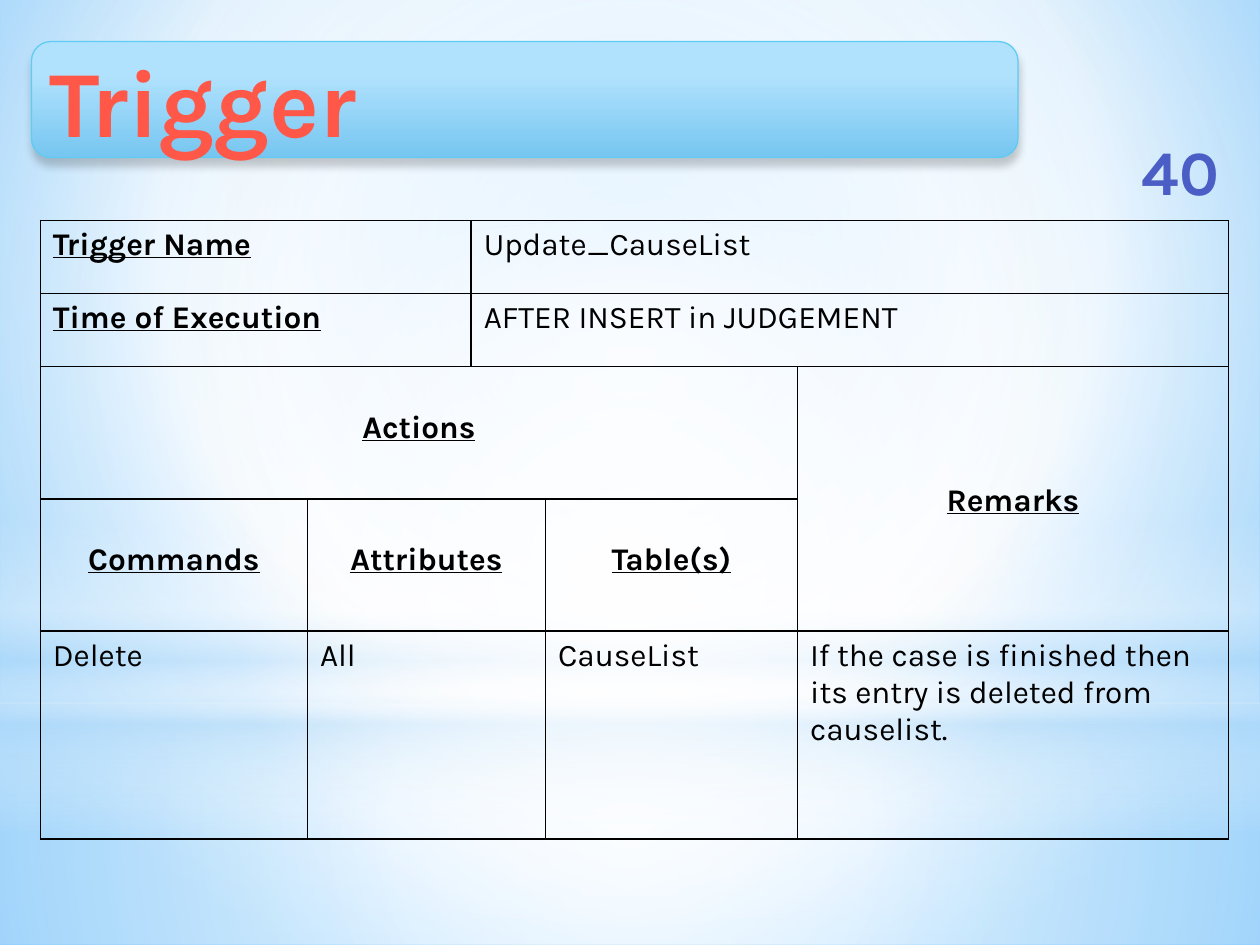
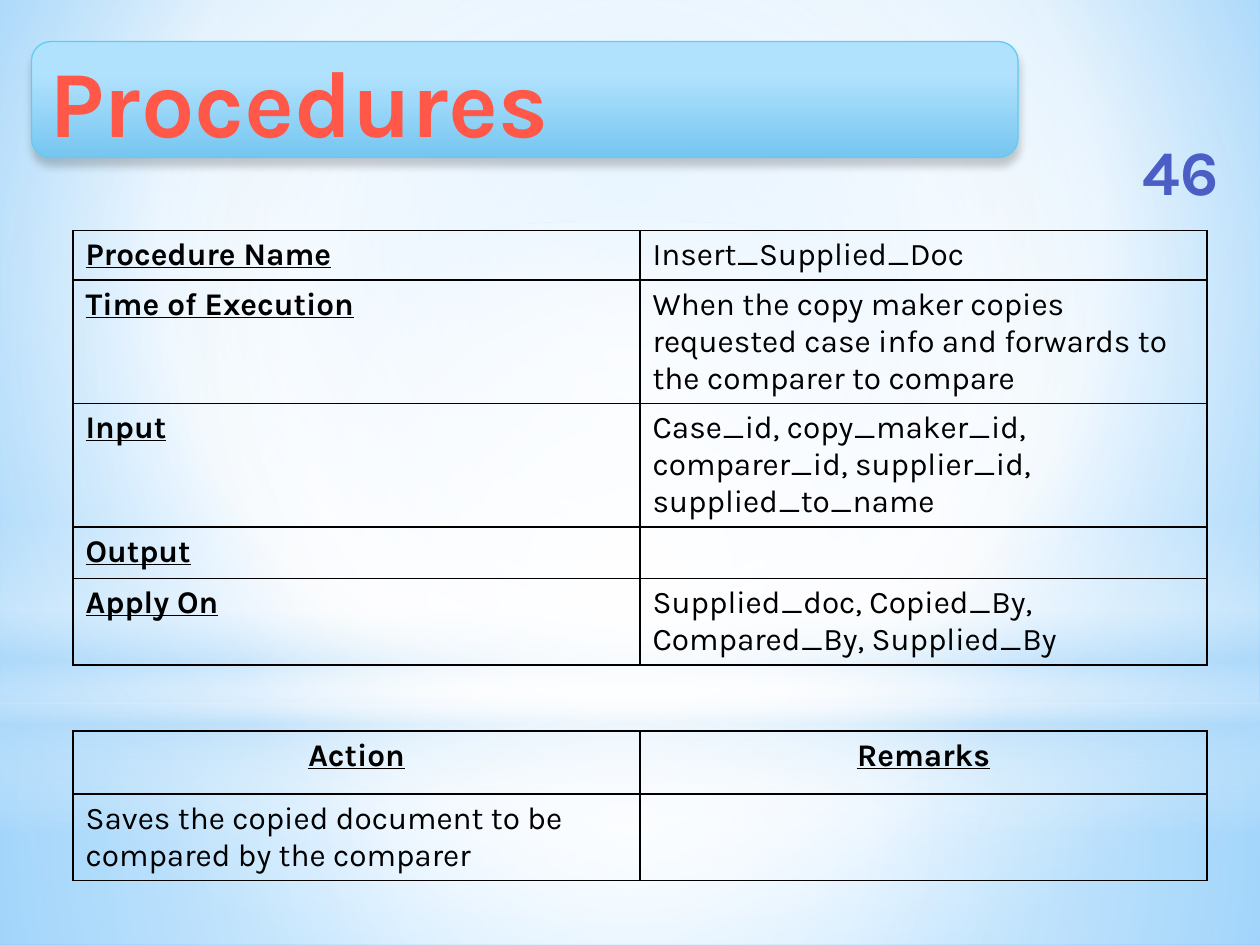
from pptx import Presentation
from pptx.dml.color import RGBColor
from pptx.enum.shapes import MSO_SHAPE
from pptx.enum.text import MSO_ANCHOR, MSO_AUTO_SIZE, PP_ALIGN
from pptx.oxml import parse_xml
from pptx.oxml.ns import nsdecls, qn
from pptx.util import Inches, Pt

RECTANGLE, ELLIPSE = MSO_SHAPE.RECTANGLE, MSO_SHAPE.OVAL
ROUNDED = MSO_SHAPE.ROUNDED_RECTANGLE
LEFT, CENTER = PP_ALIGN.LEFT, PP_ALIGN.CENTER
MIDDLE, NO_AUTOFIT = MSO_ANCHOR.MIDDLE, MSO_AUTO_SIZE.NONE

FONT = "Karla"
BLACK, WHITE, SKY = "000000", "FFFFFF", "B4DCFA"
BANNER_LINE = "5ECCF3"
LINE_HEIGHT = 0.29  # one line of table text, in inches

# Gradient stops: position, colour and, where needed, opacity in percent
BACKGROUND = [(0, "9ED5FF"), (60, WHITE), (100, "5BB9FF")]
LOWER_GLOW = [(0, WHITE, 91), (37, WHITE, 76), (100, SKY, 79)]
UPPER_GLOW = [(0, WHITE, 89), (48, WHITE, 62), (100, SKY, 79)]
HORIZON = [(0, WHITE, 0), (29, WHITE, 30), (45, SKY, 40),
           (55, WHITE, 26), (65, SKY, 60), (100, WHITE, 0)]
SPOTLIGHT = [(0, WHITE), (56, WHITE, 0)]
BANNER = [(28, "B1E2FD"), (100, "76C6F1")]
TITLE_TEXT = [(0, "FF6155"), (25, "FF5748"), (50, "EF3718"),
              (75, "FF5748"), (100, "FF6155")]
NUMBER_TEXT = [(0, "717FD2"), (49, "4A5EC6"), (50, "324CB5"),
               (92, "31479D"), (100, "30469A")]
FROM_CENTER = (50, 50, 50, 50)


def color(hex_value):
    return RGBColor.from_string(hex_value)


def paint_gradient(fill, parent, stops, focus=None):
    """Fill with a vertical gradient, or a circular one around the focus."""
    stop_xml = "".join(
        f'<a:gs pos="{position * 1000}"><a:srgbClr val="{hex_value}">'
        f'<a:alpha val="{(opacity or [100])[0] * 1000}"/></a:srgbClr></a:gs>'
        for position, hex_value, *opacity in stops)
    direction = '<a:lin ang="5400000" scaled="0"/>'
    if focus:
        edges = " ".join(f'{side}="{value * 1000}"'
                         for side, value in zip("ltrb", focus))
        direction = (f'<a:path path="circle"><a:fillToRect {edges}/></a:path>')
    fill.solid()
    parent.replace(parent.find(qn("a:solidFill")), parse_xml(
        f'<a:gradFill {nsdecls("a")} rotWithShape="1">'
        f'<a:gsLst>{stop_xml}</a:gsLst>{direction}</a:gradFill>'))


class Deck:
    def __init__(self):
        self.presentation = Presentation()
        self.presentation.slide_width = Inches(10)
        self.presentation.slide_height = Inches(7.5)
        self.layout = self.presentation.slide_layouts[5]
        self.slide = None

    def add_slide(self, title, number):
        self.slide = self.presentation.slides.add_slide(self.layout)
        self.set_title(title)
        self.add_number(number)

    def add_shape(self, kind, box, stops, focus=None):
        shape = self.slide.shapes.add_shape(kind, *map(Inches, box))
        shape.shadow.inherit = False
        shape.line.fill.background()
        paint_gradient(shape.fill, shape.element.spPr, stops, focus)
        return shape

    def decorate_layout(self):
        """Put the background, glows and title banner on the shared layout."""
        for placeholder in list(self.layout.placeholders)[1:]:
            self.layout.shapes.element.remove(placeholder.element)
        self.layout.background.fill.solid()
        background = self.layout.element.find(".//" + qn("p:bgPr"))
        paint_gradient(self.layout.background.fill, background,
                       BACKGROUND, (20, 10, 20, 60))
        banner = self.add_shape(ROUNDED, (0.25, 0.33, 7.83, 0.92), BANNER)
        banner.line.color.rgb = color(BANNER_LINE)
        banner.line.width = Pt(0.75)
        banner.element.spPr.find(qn("a:effectLst")).append(parse_xml(
            f'<a:outerShdw {nsdecls("a")} blurRad="{Pt(5)}" dist="{Pt(4)}" '
            f'dir="5400000" rotWithShape="0"><a:srgbClr val="{BLACK}">'
            f'<a:alpha val="20000"/></a:srgbClr></a:outerShdw>'))
        decorations = [
            self.add_shape(RECTANGLE, (0, 5.58, 10, 1.92), LOWER_GLOW, FROM_CENTER),
            self.add_shape(RECTANGLE, (0, 0, 10, 5.58), UPPER_GLOW, FROM_CENTER),
            self.add_shape(RECTANGLE, (0, 4.12, 10, 2.5), HORIZON),
            self.add_shape(ELLIPSE, (0, 1.75, 10, 5.58), SPOTLIGHT, FROM_CENTER),
            banner,
        ]
        for index, shape in enumerate(decorations, start=2):
            self.layout.shapes.element.insert(index, shape.element)

    def add_run(self, paragraph, text, size, bold=True):
        run = paragraph.add_run()
        run.text = text
        run.font.name = FONT
        run.font.size = Pt(size)
        run.font.bold = bold
        return run

    def write_display(self, shape, text, size, stops, alignment):
        frame = shape.text_frame
        frame.word_wrap = True
        frame.auto_size = NO_AUTOFIT
        frame.vertical_anchor = MIDDLE
        paragraph = frame.paragraphs[0]
        paragraph.alignment = alignment
        run = self.add_run(paragraph, text, size)
        paint_gradient(run.font.fill, run.font._element, stops)

    def set_title(self, text):
        title = self.slide.shapes.title
        title.left, title.top = Inches(0.29), Inches(0.33)
        title.width, title.height = Inches(7.75), Inches(0.92)
        self.write_display(title, text, 54, TITLE_TEXT, LEFT)

    def add_number(self, text):
        box = self.slide.shapes.add_textbox(
            Inches(8.88), Inches(1.08), Inches(0.98), Inches(0.54))
        self.write_display(box, text, 36, NUMBER_TEXT, CENTER)

    def add_table(self, left, top, widths, heights):
        table = self.slide.shapes.add_table(
            len(heights), len(widths), Inches(left), Inches(top),
            Inches(sum(widths)), Inches(sum(heights))).table
        table.first_row = table.horz_banding = False
        for column, width in zip(table.columns, widths):
            column.width = Inches(width)
        for row, height in zip(table.rows, heights):
            row.height = Inches(height)
        for cell in table.iter_cells():
            cell.fill.background()
            self.add_borders(cell)
        return table

    def add_borders(self, cell):
        properties = cell._tc.get_or_add_tcPr()
        for index, side in enumerate("LRTB"):
            properties.insert(index, parse_xml(
                f'<a:ln{side} {nsdecls("a")} w="{Pt(1)}"><a:solidFill>'
                f'<a:srgbClr val="{BLACK}"/></a:solidFill></a:ln{side}>'))

    def write_cell(self, cell, text, label=False, alignment=LEFT, lines_above=0):
        cell.margin_top = Inches(0.05 + lines_above * LINE_HEIGHT)
        paragraph = cell.text_frame.paragraphs[0]
        paragraph.alignment = alignment
        run = self.add_run(paragraph, text, 18, bold=label)
        run.font.underline = label
        run.font.color.rgb = color(BLACK)

    def write_heading(self, cell, text, lines_above=0):
        self.write_cell(cell, text, True, CENTER, lines_above)

    def write_pairs(self, table, pairs, value_column):
        for row, (label, value) in enumerate(pairs):
            self.write_cell(table.cell(row, 0), label, label=True)
            if value:
                self.write_cell(table.cell(row, value_column), value)


def build_trigger(deck):
    table = deck.add_table(0.32, 1.75, [2.12, 1.3, 0.59, 2, 3.42],
                           [0.58, 0.58, 1.05, 1.05, 1.65])
    # Merged areas: first row, first column, last row, last column
    for top, left, bottom, right in [
            (0, 0, 0, 1), (0, 2, 0, 4), (1, 0, 1, 1), (1, 2, 1, 4),
            (2, 0, 2, 3), (2, 4, 3, 4), (3, 1, 3, 2), (4, 1, 4, 2)]:
        table.cell(top, left).merge(table.cell(bottom, right))
    deck.write_pairs(table, [
        ("Trigger Name", "Update_CauseList"),
        ("Time of Execution", "AFTER INSERT in JUDGEMENT"),
    ], value_column=2)
    deck.write_heading(table.cell(2, 0), "Actions", lines_above=1)
    deck.write_heading(table.cell(2, 4), "Remarks", lines_above=3)
    for column, heading, value in [
            (0, "Commands", "Delete"), (1, "Attributes", "All"),
            (3, "Table(s)", "CauseList")]:
        deck.write_heading(table.cell(3, column), heading, lines_above=1)
        deck.write_cell(table.cell(4, column), value)
    deck.write_cell(table.cell(4, 4), "If the case is finished then its entry "
                    "is deleted from causelist.")


def build_procedures(deck):
    # Procedure details
    details = deck.add_table(0.58, 1.83, [4.5, 4.5],
                             [0.39, 0.98, 0.98, 0.39, 0.69])
    deck.write_pairs(details, [
        ("Procedure Name", "Insert_Supplied_Doc"),
        ("Time of Execution", "When the copy maker copies requested case info "
         "and forwards to the comparer to compare"),
        ("Input", "Case_id, copy_maker_id, comparer_id, supplier_id, "
         "supplied_to_name"),
        ("Output", ""),
        ("Apply On", "Supplied_doc, Copied_By, Compared_By, Supplied_By"),
    ], value_column=1)
    # Action and remarks
    actions = deck.add_table(0.58, 5.8, [4.5, 4.5], [0.5, 0.69])
    for column, heading in enumerate(["Action", "Remarks"]):
        deck.write_heading(actions.cell(0, column), heading)
    deck.write_cell(actions.cell(1, 0),
                    "Saves the copied document to be compared by the comparer")


def main():
    deck = Deck()
    deck.add_slide("Trigger", "40")
    deck.decorate_layout()
    build_trigger(deck)
    deck.add_slide("Procedures", "46")
    build_procedures(deck)
    deck.presentation.save("out.pptx")


if __name__ == "__main__":
    main()
